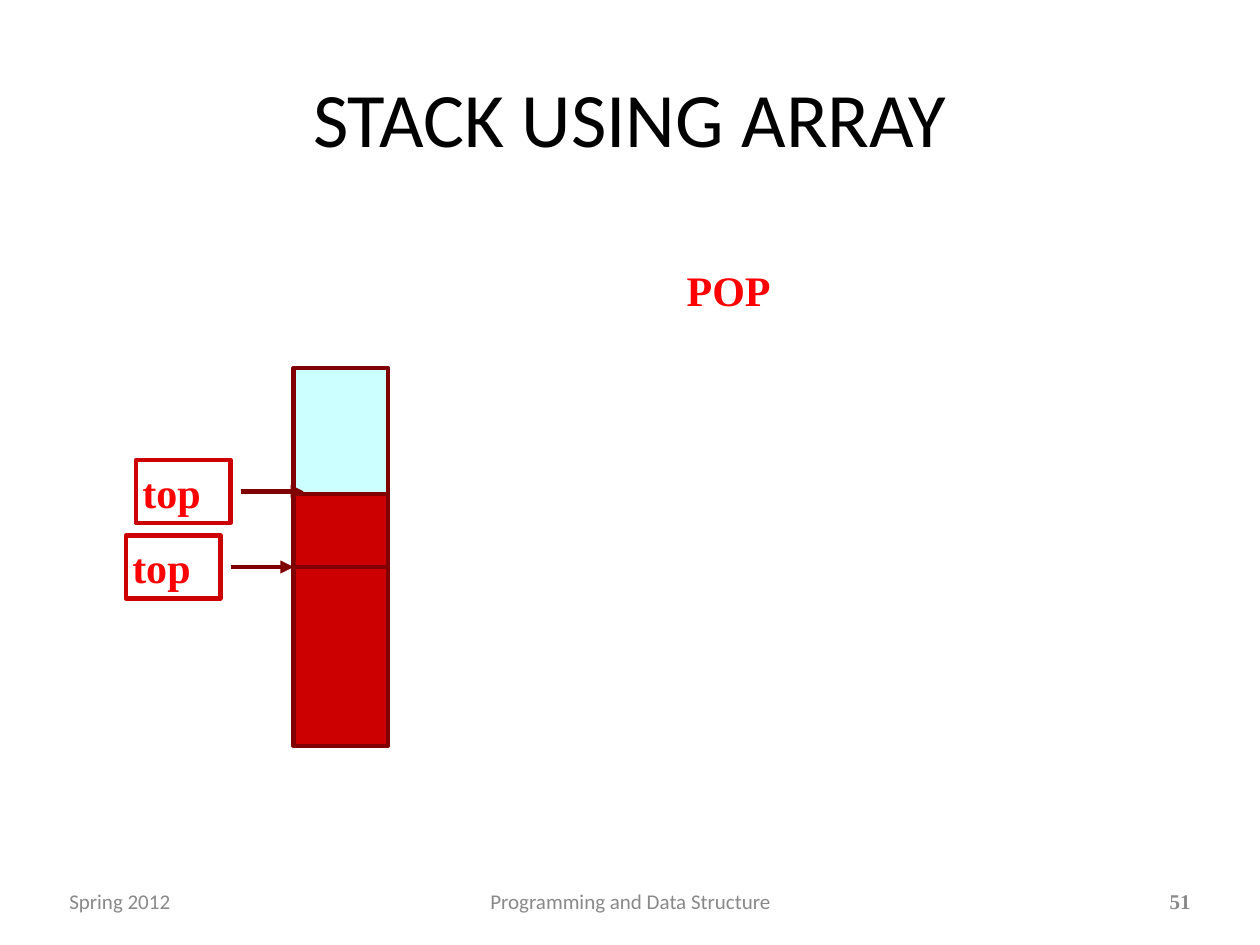
from lxml import etree
from pptx import Presentation
from pptx import util as u
from pptx.dml.color import RGBColor
from pptx.enum import shapes, text
from pptx.oxml.ns import qn

COLORS = {
    "title": "000000",
    "footer": "898989",
    "label": "FF0000",
    "used": "CC0000",
    "free": "CCFFFF",
    "edge": "800000",
}
SERIF = "Times New Roman"
LINE_WIDTH = 2.5
STACK_LEFT = 2.33
CELL_WIDTH = 0.75
LABEL_HEIGHT = 0.5


def color(name):
    return RGBColor.from_string(COLORS[name])


def write(shape, words, size, ink, font="Calibri", bold=False,
          align=text.PP_ALIGN.LEFT, anchor=text.MSO_ANCHOR.TOP, wrap=True):
    frame = shape.text_frame
    frame.word_wrap = wrap
    frame.vertical_anchor = anchor
    frame.margin_left = frame.margin_right = u.Inches(0.05)
    frame.margin_top = frame.margin_bottom = u.Inches(0.05)
    para = frame.paragraphs[0]
    para.alignment = align
    span = para.add_run()
    span.text = words
    span.font.name = font
    span.font.size = u.Pt(size)
    span.font.bold = bold
    span.font.color.rgb = color(ink)


def add_text(page, left, top, width, height, words, **style):
    box = page.shapes.add_textbox(*map(u.Inches, (left, top, width, height)))
    write(box, words, **style)


def add_box(parent, left, top, width, height, edge, fill=None):
    box = parent.shapes.add_shape(
        shapes.MSO_SHAPE.RECTANGLE, *map(u.Inches, (left, top, width, height)))
    box.shadow.inherit = False
    if fill:
        box.fill.solid()
        box.fill.fore_color.rgb = color(fill)
    else:
        box.fill.background()
    box.line.color.rgb = color(edge)
    box.line.width = u.Pt(LINE_WIDTH)
    return box


def add_cell(page, top, height, fill):
    add_box(page, STACK_LEFT, top, CELL_WIDTH, height, "edge", fill)


def add_arrow(parent, left, right, level):
    arrow = parent.shapes.add_connector(
        shapes.MSO_CONNECTOR.STRAIGHT,
        *map(u.Inches, (left, level, right, level)))
    arrow.line.color.rgb = color("edge")
    arrow.line.width = u.Pt(LINE_WIDTH)
    outline = arrow.line._get_or_add_ln()
    etree.SubElement(outline, qn("a:tailEnd"), type="triangle")
    etree.SubElement(arrow._element.spPr, qn("a:effectLst"))


def add_pointer(page, left, level):
    pointer = page.shapes.add_group_shape()
    label = add_box(pointer, left, level - LABEL_HEIGHT / 2,
                    CELL_WIDTH, LABEL_HEIGHT, "used")
    write(label, "top", size=24, ink="label", font=SERIF, bold=True)
    start = left + CELL_WIDTH + 0.08
    add_arrow(pointer, start, start + 0.5, level)


def add_footer(page, left, width, words, **style):
    add_text(page, left, 7, width, 0.3, words, size=12, ink="footer",
             anchor=text.MSO_ANCHOR.MIDDLE, **style)


def main():
    deck = Presentation()
    deck.slide_width = u.Inches(10)
    deck.slide_height = u.Inches(7.5)
    page = deck.slides.add_slide(deck.slide_layouts[6])

    add_text(page, 0.5, 0.3, 9, 1.25, "STACK USING ARRAY", size=44,
             ink="title", align=text.PP_ALIGN.CENTER,
             anchor=text.MSO_ANCHOR.MIDDLE)
    add_footer(page, 0.5, 2.33, "Spring 2012")
    add_footer(page, 3.42, 3.17, "Programming and Data Structure",
               align=text.PP_ALIGN.CENTER)
    add_footer(page, 9.22, 0.28, "51", font=SERIF, bold=True,
               align=text.PP_ALIGN.RIGHT, wrap=False)

    add_cell(page, 4.5, 1.42, "used")
    add_cell(page, 2.92, 1.58, "free")
    add_pointer(page, 1, 4.5)
    add_pointer(page, 1.08, 3.9)
    add_cell(page, 3.92, 0.58, "used")
    add_text(page, 5.4, 2.05, 0.78, 0.46, "POP", size=24, ink="label",
             font=SERIF, bold=True, wrap=False)

    deck.save("out.pptx")


if __name__ == "__main__":
    main()
